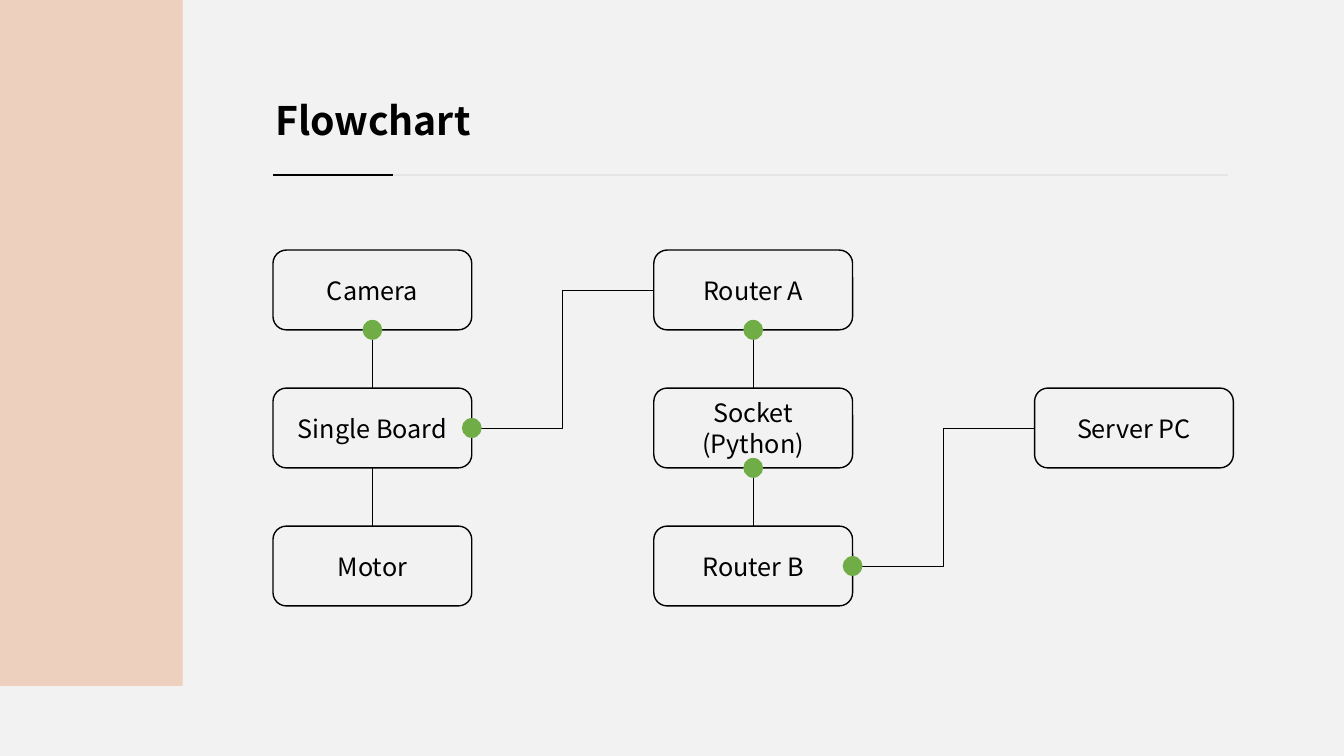
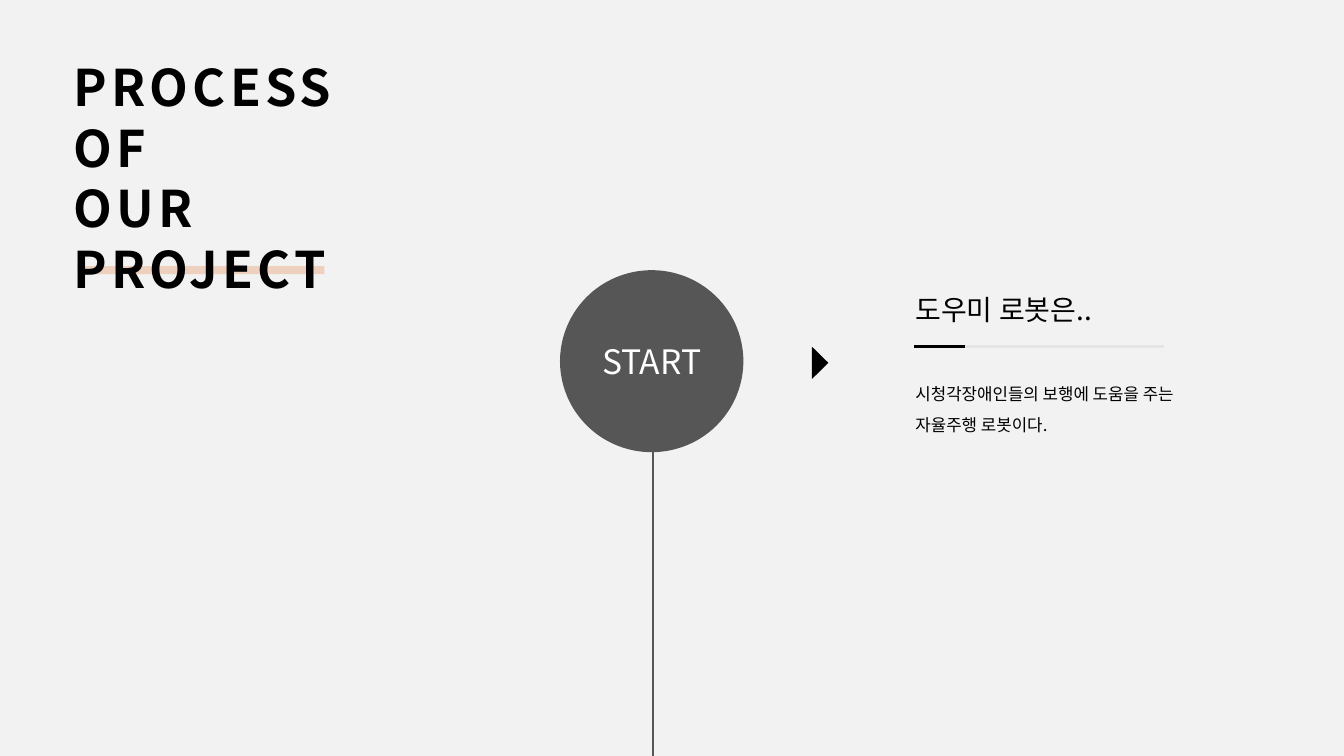
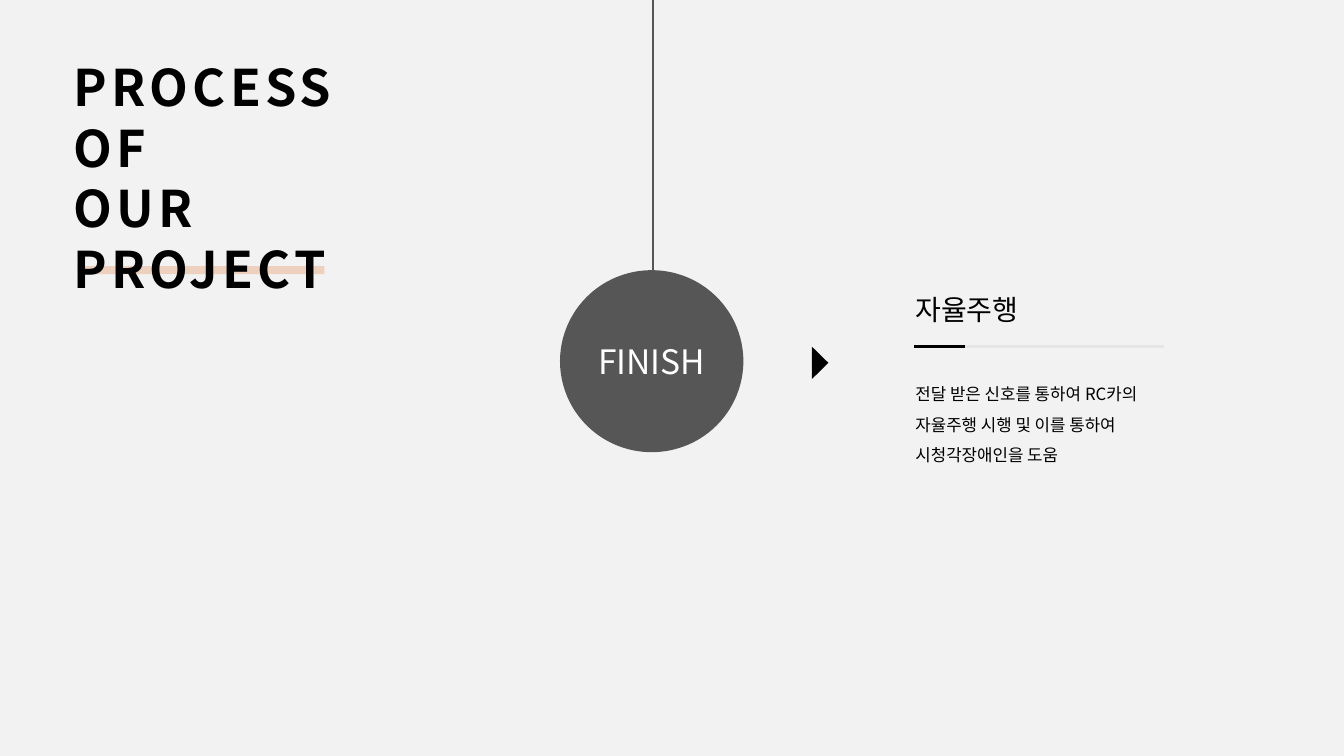
import pptx
import pptx.util
import pptx.dml.color
import pptx.enum.shapes
import pptx.enum.text
import pptx.oxml
import pptx.oxml.ns

Pt = pptx.util.Pt
RGBColor = pptx.dml.color.RGBColor
PRESET = pptx.enum.shapes.MSO_SHAPE
CONNECTOR = pptx.enum.shapes.MSO_CONNECTOR
ANCHOR = pptx.enum.text.MSO_ANCHOR
ALIGN = pptx.enum.text.PP_ALIGN

PAPER = RGBColor(0xF2, 0xF2, 0xF2)
PEACH = RGBColor(0xED, 0xD0, 0xBE)
BLACK = RGBColor(0, 0, 0)
WHITE = RGBColor(0xFF, 0xFF, 0xFF)
PALE = RGBColor(0xE5, 0xE5, 0xE5)
SLATE = RGBColor(0x56, 0x56, 0x56)
GREEN = RGBColor(0x70, 0xAD, 0x47)
FONT = "Noto Sans CJK KR"

SLIDE_WIDTH, SLIDE_HEIGHT = 960, 540
NODE_LEFT, NODE_TOP = 195, 178.6
NODE_WIDTH, NODE_HEIGHT = 142, 57
COLUMN_STEP, ROW_STEP = 272, 98.6
DOT = 14.2
TOP, LEFT, BOTTOM, RIGHT = range(4)

NODES = {
    "Camera": (0, 0),
    "Single Board": (0, 1),
    "Motor": (0, 2),
    "Router A": (1, 0),
    "Socket\n(Python)": (1, 1),
    "Router B": (1, 2),
    "Server PC": (2, 1),
}
LINKS = [
    ("Camera", BOTTOM, "Single Board", TOP, True),
    ("Single Board", BOTTOM, "Motor", TOP, False),
    ("Single Board", RIGHT, "Router A", LEFT, True),
    ("Router A", BOTTOM, "Socket\n(Python)", TOP, True),
    ("Socket\n(Python)", BOTTOM, "Router B", TOP, True),
    ("Router B", RIGHT, "Server PC", LEFT, True),
]


def points(*lengths):
    return [Pt(length) for length in lengths]


def write(frame, text, size, color=BLACK, bold=False, align=ALIGN.LEFT,
          anchor=ANCHOR.TOP, spacing=None, tracking=None):
    frame.word_wrap = True
    frame.auto_size = pptx.enum.text.MSO_AUTO_SIZE.NONE
    frame.vertical_anchor = anchor
    for index, line in enumerate(text.split("\n")):
        paragraph = frame.add_paragraph() if index else frame.paragraphs[0]
        paragraph.alignment = align
        if spacing:
            paragraph.line_spacing = spacing
        run = paragraph.add_run()
        run.text = line
        run.font.size = Pt(size)
        run.font.bold = bold
        run.font.name = FONT
        run.font.color.rgb = color
        properties = run.font._element
        east_asian = pptx.oxml.parse_xml(
            f'<a:ea {pptx.oxml.ns.nsdecls("a")} typeface="{FONT}"/>')
        properties.append(east_asian)
        if tracking:
            properties.set("spc", str(tracking * 100))


def set_title(slide, text, box, size, **style):
    title = slide.shapes.title
    title.left, title.top, title.width, title.height = points(*box)
    write(title.text_frame, text, size, bold=True, **style)


def add_text(slide, text, box, size, spacing=None):
    frame = slide.shapes.add_textbox(*points(*box)).text_frame
    frame.margin_left = frame.margin_right = Pt(2.9)
    frame.margin_top = frame.margin_bottom = Pt(2.9)
    write(frame, text, size, spacing=spacing)


def paint(shape, fill=None, outline=None):
    shape.shadow.inherit = False
    if fill is None:
        shape.fill.background()
    else:
        shape.fill.solid()
        shape.fill.fore_color.rgb = fill
    if outline is None:
        shape.line.fill.background()
    else:
        shape.line.color.rgb = outline
        shape.line.width = Pt(1)


def add_preset(slide, preset, box, fill=None, outline=None):
    shape = slide.shapes.add_shape(preset, *points(*box))
    paint(shape, fill, outline)
    return shape


def add_line(slide, start, end, color, width, kind=CONNECTOR.STRAIGHT):
    line = slide.shapes.add_connector(kind, *points(*start, *end))
    line.line.color.rgb = color
    line.line.width = Pt(width)
    line.element.spPr.append(
        pptx.oxml.parse_xml(f'<a:effectLst {pptx.oxml.ns.nsdecls("a")}/>'))
    return line


def add_rule(slide, left, top, length, accent):
    for reach, color in ((length, PALE), (accent, BLACK)):
        add_line(slide, (left, top), (left + reach, top), color, 2)


def node_corner(name):
    column, row = NODES[name]
    return NODE_LEFT + column * COLUMN_STEP, NODE_TOP + row * ROW_STEP


def node_site(name, side):
    left, top = node_corner(name)
    across = {LEFT: 0, RIGHT: 1}.get(side, 0.5)
    down = {TOP: 0, BOTTOM: 1}.get(side, 0.5)
    return left + across * NODE_WIDTH, top + down * NODE_HEIGHT


def add_node(slide, name):
    node = add_preset(slide, PRESET.ROUNDED_RECTANGLE,
                      (*node_corner(name), NODE_WIDTH, NODE_HEIGHT),
                      outline=BLACK)
    write(node.text_frame, name, 18, align=ALIGN.CENTER, anchor=ANCHOR.MIDDLE)
    return node


def add_flowchart(slide):
    nodes = {name: add_node(slide, name) for name in NODES}
    for source, exit_side, target, entry_side, _ in LINKS:
        kind = CONNECTOR.ELBOW if exit_side == RIGHT else CONNECTOR.STRAIGHT
        link = add_line(slide, node_site(source, exit_side),
                        node_site(target, entry_side), BLACK, 0.5, kind)
        link.begin_connect(nodes[source], exit_side)
        link.end_connect(nodes[target], entry_side)
    for source, exit_side, _, _, dotted in LINKS:
        if dotted:
            x, y = node_site(source, exit_side)
            add_preset(slide, PRESET.OVAL,
                       (x - DOT / 2, y - DOT / 2, DOT, DOT), GREEN)


def add_pointer(slide):
    builder = slide.shapes.build_freeform(*points(580, 247.7))
    builder.add_line_segments([points(591.7, 259.2), points(580, 270.7)])
    paint(builder.convert_to_shape(), BLACK)


def new_slide(deck):
    return deck.slides.add_slide(deck.slide_layouts[5])


def flowchart_slide(deck):
    slide = new_slide(deck)
    add_preset(slide, PRESET.RECTANGLE, (0, 0, 130.5, 490), PEACH)
    set_title(slide, "Flowchart", (189.4, 48.2, 343, 53), 28, spacing=1.5)
    add_rule(slide, 195, 125, 682.5, 85.5)
    add_flowchart(slide)


def process_slide(deck, stage, heading, body, track_top, track_bottom):
    slide = new_slide(deck)
    underline = add_preset(slide, PRESET.RECTANGLE, (55.4, 190, 176.4, 5.8), PEACH)
    slide.shapes.title.element.addprevious(underline.element)
    set_title(slide, "PROCESS\nOF\nOUR\nPROJECT", (45.4, 36.7, 371.5, 181.4),
              36, tracking=3)
    add_line(slide, (466.4, track_top), (466.4, track_bottom), SLATE, 2)
    circle = add_preset(slide, PRESET.OVAL, (400, 193, 131, 130), SLATE)
    circle.text_frame.margin_left = circle.text_frame.margin_right = 0
    write(circle.text_frame, stage, 24, WHITE, align=ALIGN.CENTER,
          anchor=ANCHOR.MIDDLE)
    add_pointer(slide)
    add_text(slide, heading, (651, 206, 199.5, 33), 20)
    add_text(slide, body, (651, 264.2, 194, 96), 12, spacing=1.5)
    add_rule(slide, 653, 247.6, 178.5, 36)


def main():
    deck = pptx.Presentation()
    deck.slide_width, deck.slide_height = points(SLIDE_WIDTH, SLIDE_HEIGHT)
    backdrop = deck.slide_master.background.fill
    backdrop.solid()
    backdrop.fore_color.rgb = PAPER
    flowchart_slide(deck)
    process_slide(deck, "START", "도우미 로봇은..",
                  "시청각장애인들의 보행에 도움을 주는 자율주행 로봇이다.",
                  258, SLIDE_HEIGHT)
    process_slide(deck, "FINISH", "자율주행",
                  "전달 받은 신호를 통하여 RC카의 자율주행 시행 및 이를 통하여 시청각장애인을 도움",
                  0, 258)
    deck.save("out.pptx")


if __name__ == "__main__":
    main()
